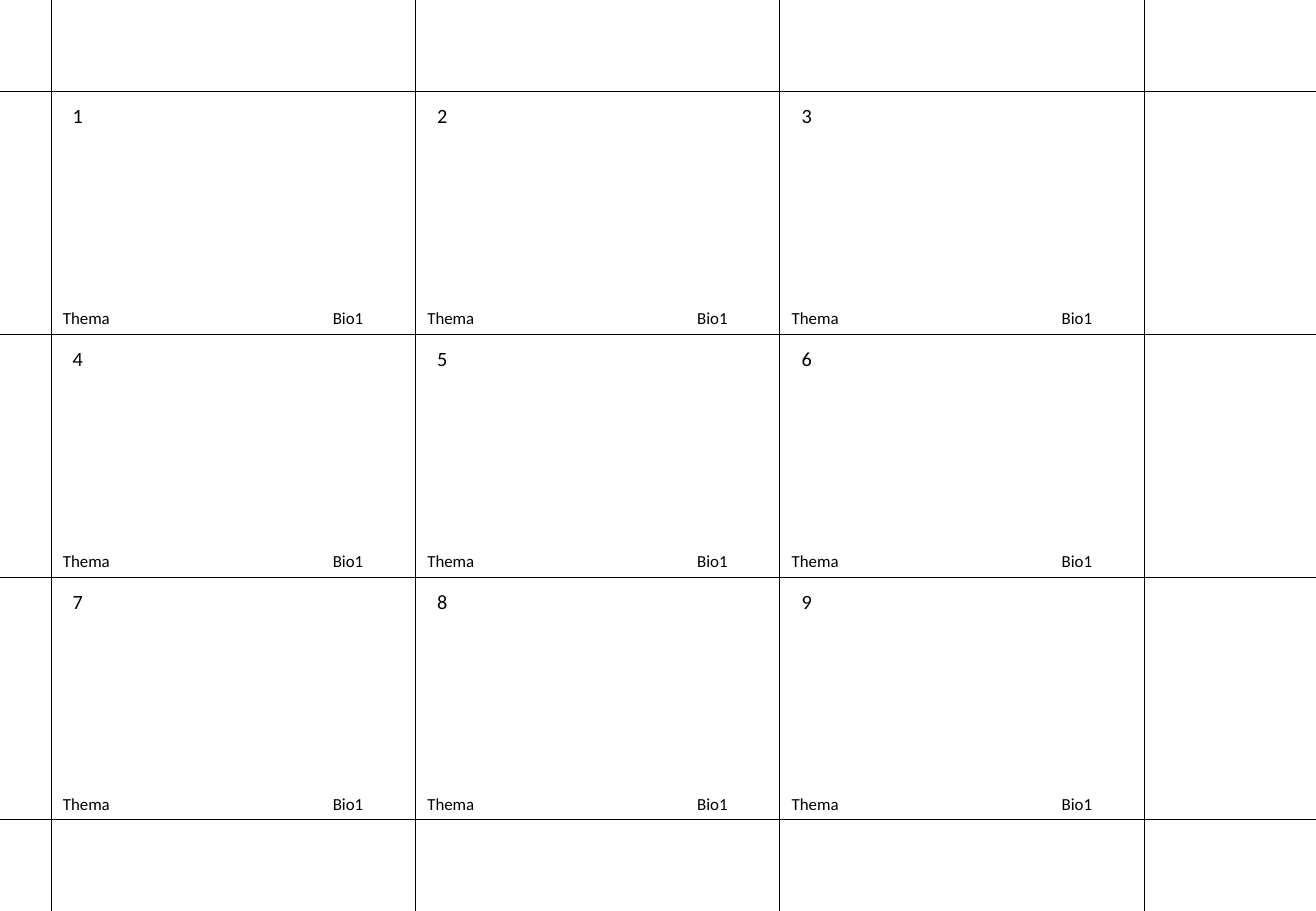
from dataclasses import dataclass

import lxml.etree
import pptx
import pptx.dml.color
import pptx.enum.shapes
import pptx.enum.text
import pptx.oxml.ns
import pptx.slide
import pptx.util

Pt = pptx.util.Pt


@dataclass(frozen=True)
class Theme:
    ink: pptx.dml.color.RGBColor = pptx.dml.color.RGBColor(0, 0, 0)
    font: str = "Calibri"
    number_size: float = 12
    label_size: float = 10
    line_width: float = 0.5


@dataclass(frozen=True)
class Grid:
    left: float = 30.2
    top: float = 54
    card_width: float = 216
    card_height: float = 144
    columns: int = 3
    rows: int = 3

    def x(self, column: int) -> float:
        return self.left + column * self.card_width

    def y(self, row: int) -> float:
        return self.top + row * self.card_height


@dataclass(frozen=True)
class Label:
    """Text placed relative to the top left corner of its card."""
    text: str
    dx: float
    dy: float
    width: float
    height: float
    size: float


THEME = Theme()
GRID = Grid()
SLIDE_WIDTH, SLIDE_HEIGHT = 780, 540


def draw_cut_line(s: pptx.slide.Slide, x1: float, y1: float, x2: float, y2: float) -> None:
    line = s.shapes.add_connector(
        pptx.enum.shapes.MSO_CONNECTOR.STRAIGHT, Pt(x1), Pt(y1), Pt(x2), Pt(y2))
    line.line.color.rgb = THEME.ink
    line.line.width = Pt(THEME.line_width)
    lxml.etree.SubElement(line._element.spPr, pptx.oxml.ns.qn("a:effectLst"))


def draw_label(s: pptx.slide.Slide, label: Label, x: float, y: float) -> None:
    sp = s.shapes.add_textbox(
        Pt(x + label.dx), Pt(y + label.dy), Pt(label.width), Pt(label.height))
    tf = sp.text_frame
    tf.word_wrap = False
    tf.auto_size = pptx.enum.text.MSO_AUTO_SIZE.SHAPE_TO_FIT_TEXT
    p = tf.paragraphs[0]
    p.text = label.text
    p.font.name = THEME.font
    p.font.size = Pt(label.size)
    p.font.color.rgb = THEME.ink


def card_labels(number: int) -> list[Label]:
    return [
        Label(str(number), 5.8, 3.6, 20.9, 21.6, THEME.number_size),
        Label("Thema", 0, 124.6, 42.5, 19.4, THEME.label_size),
        Label("Bio1", 160, 124.6, 33.1, 19.4, THEME.label_size),
    ]


def main() -> None:
    prs = pptx.Presentation()
    prs.slide_width, prs.slide_height = Pt(SLIDE_WIDTH), Pt(SLIDE_HEIGHT)
    s = prs.slides.add_slide(prs.slide_layouts[6])

    # Cut lines across the whole sheet
    for column in range(GRID.columns + 1):
        draw_cut_line(s, GRID.x(column), 0, GRID.x(column), SLIDE_HEIGHT)
    for row in range(GRID.rows + 1):
        draw_cut_line(s, 0, GRID.y(row), SLIDE_WIDTH, GRID.y(row))

    # Cards, numbered row by row
    for row in range(GRID.rows):
        for column in range(GRID.columns):
            for label in card_labels(row * GRID.columns + column + 1):
                draw_label(s, label, GRID.x(column), GRID.y(row))

    prs.save("out.pptx")


if __name__ == "__main__":
    main()
